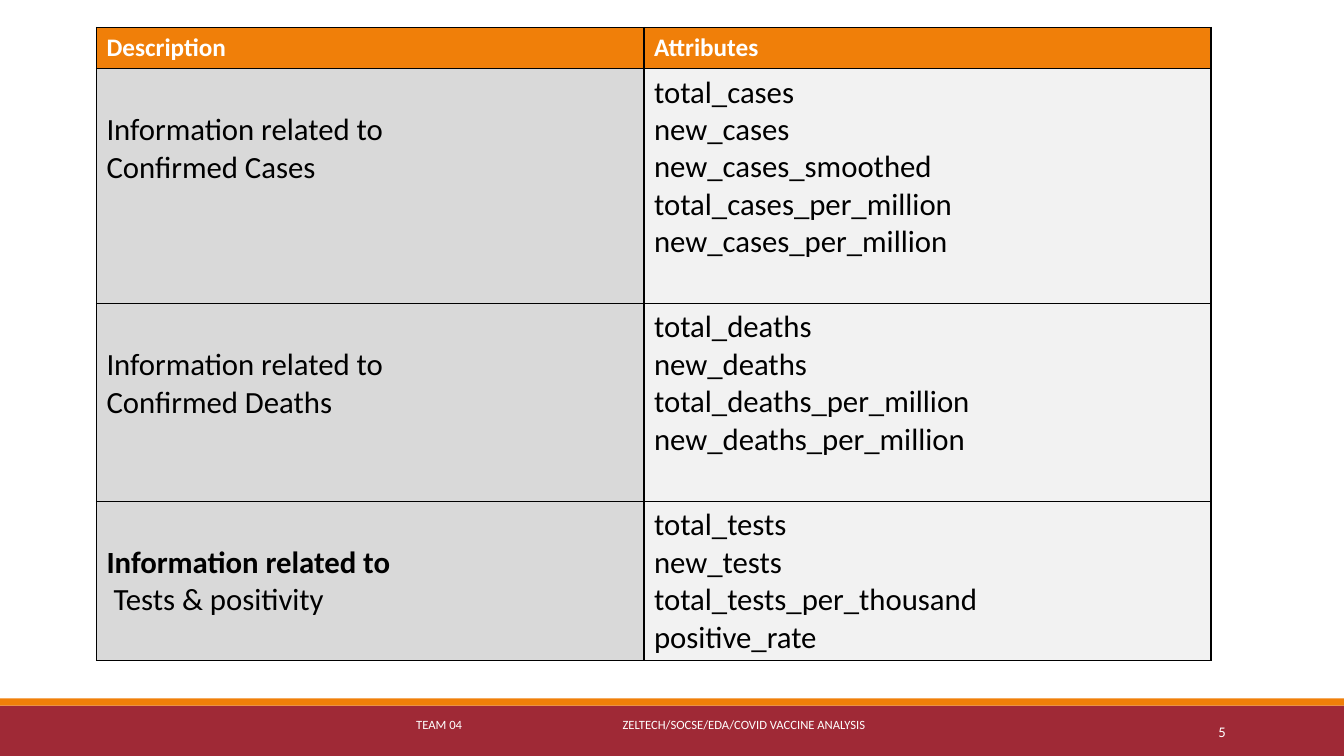
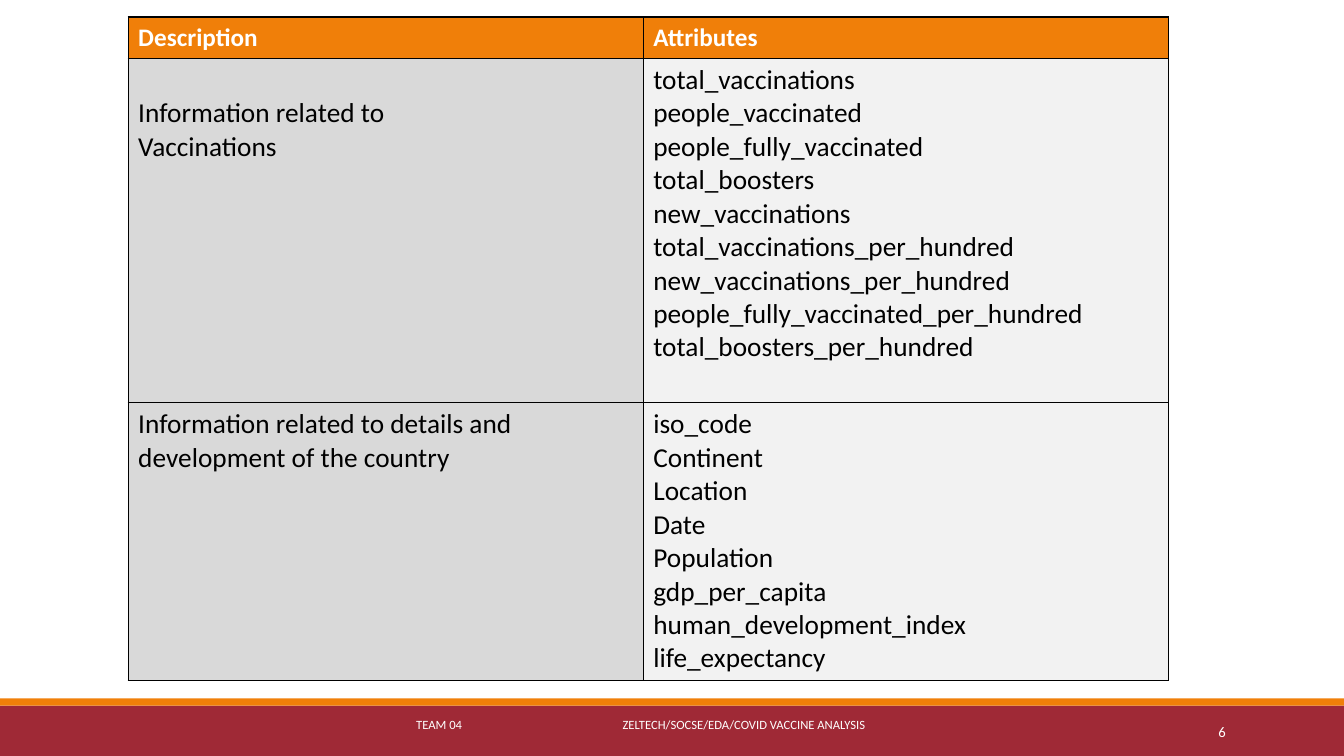
from lxml import etree
from pptx import Presentation
from pptx import util as u
from pptx.dml.color import RGBColor
from pptx.enum import shapes, text
from pptx.oxml.ns import qn

COLORS = {
    "orange": "F07F09",
    "maroon": "9F2936",
    "description": "D9D9D9",
    "attributes": "F2F2F2",
    "white": "FFFFFF",
    "black": "000000",
}
FONT = "Calibri"
HEADER = ("Description", "Attributes")
HEADER_HEIGHT = 1.04
HEADER_SIZE = 18
FIRST_PAGE = 5
SLIDE_WIDTH, SLIDE_HEIGHT = 33.87, 19.05
MARGIN_TOP = 0.13
LINE_SPACING = 1.22
CM_PER_POINT = 2.54 / 72

BANDS = [
    ("maroon", 17.78, 1.27),
    ("orange", 17.6, 0.18),
]
FOOTERS = [
    ("TEAM 04", 10.24, 3),
    ("ZELTECH/SOCSE/EDA/COVID VACCINE ANALYSIS", 15.44, 8),
]

PAGES = [
    {
        "left": 2.43, "top": 0.69, "columns": (13.8, 14.29), "size": 22,
        "rows": [
            {
                "height": 5.92, "skipped_lines": 1,
                "description": ["Information related to", "Confirmed Cases"],
                "attributes": [
                    "total_cases", "new_cases", "new_cases_smoothed",
                    "total_cases_per_million", "new_cases_per_million",
                ],
            },
            {
                "height": 4.98, "skipped_lines": 1,
                "description": ["Information related to", "Confirmed Deaths"],
                "attributes": [
                    "total_deaths", "new_deaths",
                    "total_deaths_per_million", "new_deaths_per_million",
                ],
            },
            {
                "height": 4.02, "skipped_lines": 1, "bold_lead": True,
                "description": ["Information related to", "Tests & positivity"],
                "attributes": [
                    "total_tests", "new_tests",
                    "total_tests_per_thousand", "positive_rate",
                ],
            },
        ],
    },
    {
        "left": 3.23, "top": 0.43, "columns": (12.98, 13.23), "size": 19.5,
        "rows": [
            {
                "height": 8.68, "skipped_lines": 1,
                "description": ["Information related to", "Vaccinations"],
                "attributes": [
                    "total_vaccinations", "people_vaccinated",
                    "people_fully_vaccinated", "total_boosters",
                    "new_vaccinations", "total_vaccinations_per_hundred",
                    "new_vaccinations_per_hundred",
                    "people_fully_vaccinated_per_hundred",
                    "total_boosters_per_hundred",
                ],
            },
            {
                "height": 7.0, "skipped_lines": 0,
                "description": [
                    "Information related to details and",
                    "development of the country",
                ],
                "attributes": [
                    "iso_code", "Continent", "Location", "Date", "Population",
                    "gdp_per_capita", "human_development_index",
                    "life_expectancy",
                ],
            },
        ],
    },
]


def rgb(name):
    return RGBColor.from_string(COLORS[name])


def write(frame, lines, size, color, bold=False):
    frame.text = "\n".join(lines)
    for paragraph in frame.paragraphs:
        for run in paragraph.runs:
            run.font.name = FONT
            run.font.size = u.Pt(size)
            run.font.bold = bold
            run.font.color.rgb = rgb(color)


def add_label(slide, label, left, top, width, height, size, align):
    frame = slide.shapes.add_textbox(
        u.Cm(left), u.Cm(top), u.Cm(width), u.Cm(height)).text_frame
    frame.word_wrap = True
    frame.vertical_anchor = text.MSO_ANCHOR.MIDDLE
    write(frame, [label], size, "white")
    frame.paragraphs[0].alignment = align


def add_frame(slide, page_number):
    for color, top, height in BANDS:
        band = slide.shapes.add_shape(
            shapes.MSO_SHAPE.RECTANGLE,
            0, u.Cm(top), u.Cm(SLIDE_WIDTH), u.Cm(height))
        band.shadow.inherit = False
        band.fill.solid()
        band.fill.fore_color.rgb = rgb(color)
        band.line.fill.background()
    for label, left, width in FOOTERS:
        add_label(slide, label, left, 17.93, width, 0.66, 9, text.PP_ALIGN.LEFT)
    add_label(slide, str(page_number), 27.51, 17.93, 3.63, 1.02, 10.5,
              text.PP_ALIGN.RIGHT)


def style_cell(cell, fill):
    properties = cell._tc.get_or_add_tcPr()
    for side in ("lnL", "lnR", "lnT", "lnB"):
        border = etree.SubElement(
            properties, qn(f"a:{side}"), w=str(u.Pt(1)))
        solid = etree.SubElement(border, qn("a:solidFill"))
        etree.SubElement(solid, qn("a:srgbClr"), val=COLORS["black"])
    cell.fill.solid()
    cell.fill.fore_color.rgb = rgb(fill)
    cell.margin_top = u.Cm(MARGIN_TOP)


def add_attribute_table(slide, page):
    heights = [HEADER_HEIGHT] + [row["height"] for row in page["rows"]]
    table = slide.shapes.add_table(
        len(heights), len(HEADER), u.Cm(page["left"]), u.Cm(page["top"]),
        u.Cm(sum(page["columns"])), u.Cm(sum(heights))).table
    table.horz_banding = False
    for column, width in zip(table.columns, page["columns"]):
        column.width = u.Cm(width)
    for table_row, height in zip(table.rows, heights):
        table_row.height = u.Cm(height)

    for column, heading in enumerate(HEADER):
        cell = table.cell(0, column)
        style_cell(cell, "orange")
        write(cell.text_frame, [heading], HEADER_SIZE, "white", bold=True)

    line_height = page["size"] * LINE_SPACING * CM_PER_POINT
    for index, row in enumerate(page["rows"], start=1):
        for column, part in enumerate(("description", "attributes")):
            cell = table.cell(index, column)
            style_cell(cell, part)
            write(cell.text_frame, row[part], page["size"], "black")
        description = table.cell(index, 0)
        description.margin_top = u.Cm(
            MARGIN_TOP + row["skipped_lines"] * line_height)
        if row.get("bold_lead"):
            lead, detail = description.text_frame.paragraphs
            lead.runs[0].font.bold = True
            detail._p.get_or_add_pPr().set("marL", str(u.Cm(0.18)))


def main():
    deck = Presentation()
    deck.slide_width = u.Cm(SLIDE_WIDTH)
    deck.slide_height = u.Cm(SLIDE_HEIGHT)
    blank = deck.slide_layouts[6]
    for page_number, page in enumerate(PAGES, start=FIRST_PAGE):
        slide = deck.slides.add_slide(blank)
        add_frame(slide, page_number)
        add_attribute_table(slide, page)
    deck.save("out.pptx")


if __name__ == "__main__":
    main()
